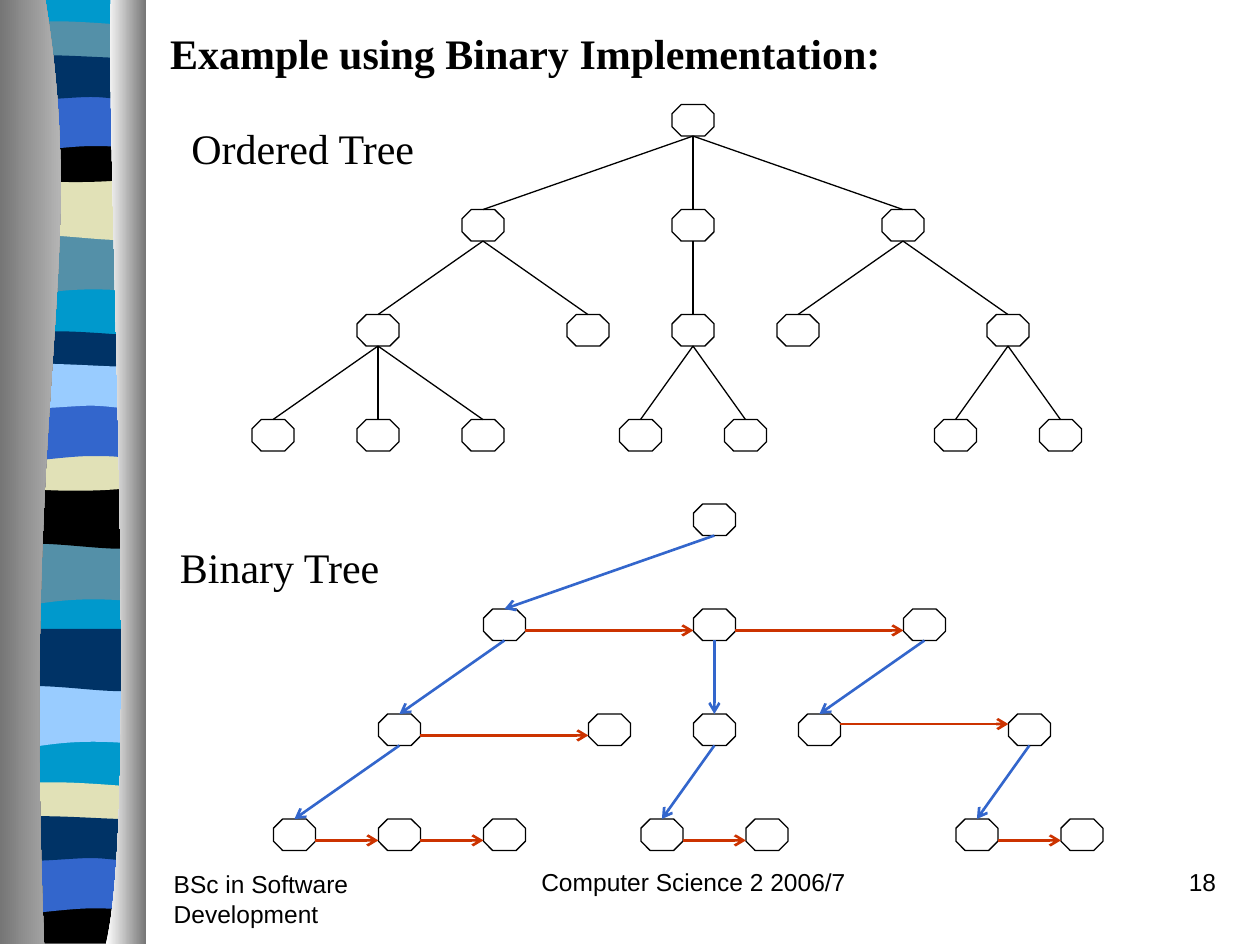
"""Build a slide showing an ordered tree and its binary implementation."""
from lxml import etree
from pptx import Presentation
from pptx.dml.color import RGBColor
from pptx.enum import shapes, text
from pptx.oxml.ns import qn
from pptx.util import Inches, Pt

COLORS = {
    "black": "000000", "white": "FFFFFF", "cyan": "0099CC", "teal": "5490A8",
    "cream": "E1E1B7", "blue": "3366CC", "navy": "003366", "sky": "99CCFF",
    "red": "CC3300", "grey": "767676", "silver": "D3D3D3",
}

TITLE = ("Example using Binary Implementation:", 1.25, 0.17, 8.25, "Times New Roman", 24, "LEFT")
LABELS = [
    ("Ordered Tree", 1.42, 0.92, 2.25, "Times New Roman", 24, "LEFT"),
    ("Binary Tree", 1.33, 4.25, 2.17, "Times New Roman", 24, "LEFT"),
    ("BSc in Software Development", 1.28, 6.85, 2.08, "Arial", 14, "LEFT"),
    ("Computer Science 2 2006/7", 3.92, 6.83, 3.17, "Arial", 14, "CENTER"),
    ("18", 7.67, 6.83, 2.08, "Arial", 14, "RIGHT"),
]

TREE = (0, [
    (-4, [(-6, [(-8, []), (-6, []), (-4, [])]), (-2, [])]),
    (0, [(0, [(-1, []), (1, [])])]),
    (4, [(2, []), (6, [(5, []), (7, [])])]),
])
ORDERED_ROOT = (5.5, 0.83)
BINARY_ROOT = (5.67, 4)
NODE_W, NODE_H = 1 / 3, 0.25
STEP_X, STEP_Y = 5 / 12, 5 / 6
LINK_DROP, HIGH_LINK_DROP, HIGH_LINK_PARENT = 0.17, 0.08, (1, 4)

BAND_SHAPES = {
    "plain": [(1.14, 0), (1.14, 7.48), (0.06, 7.48), (0.06, 0)],
    "sweep": [(1.14, 0), (1.14, 0.47), (0.39, 0.39, 0.24, 0.55, 0.06, 0.47), (0.06, 0)],
    "dip": [(1.14, 0), (1.14, 0.47), (0.96, 0.55, 0.39, 0.41, 0.06, 0.47), (0.06, 0)],
    "swell": [(1.14, 0.05), (1.14, 0.29), (0.96, 0.33, 0.24, 0.33, 0.06, 0.29), (0.06, 0.05),
              (0.12, 0, 0.29, 0.01, 0.47, 0.01), (0.65, 0.01, 1, 0.04, 1.14, 0.05)],
    "lens": [(1.14, 0), (1.14, 0.32), (0.96, 0.38, 0.24, 0.38, 0.06, 0.32), (0.06, 0),
             (0.72, 0.05, 0.91, 0, 1.14, 0)],
    "arch": [(1.14, 0), (1.14, 0.47), (0.97, 0.42, 0.9, 0.42, 0.72, 0.42),
             (0.54, 0.42, 0.22, 0.47, 0.06, 0.47), (0.06, 0)],
    "wave": [(1.14, 0.05), (1.14, 0.36), (1.07, 0.41, 0.9, 0.36, 0.72, 0.36),
             (0.54, 0.36, 0.17, 0.41, 0.06, 0.36), (0.06, 0.05),
             (0.21, 0, 0.79, 0.05, 0.97, 0.05), (1.15, 0.05, 1.1, 0.05, 1.14, 0.05)],
    "base": [(1.14, 0), (1.14, 0.37), (0.06, 0.37), (0.06, 0), (0.72, 0.05, 0.91, 0, 1.14, 0)],
}
BANDS = [
    ("plain", -0.01, "cyan"),
    ("sweep", 1.85, "teal"), ("dip", 1.41, "cream"), ("swell", 0.16, "teal"),
    ("lens", 1.08, "black"), ("arch", 0.74, "blue"), ("wave", 0.41, "navy"),
    ("sweep", 4.31, "teal"), ("dip", 3.86, "black"), ("swell", 2.62, "navy"),
    ("lens", 3.53, "cream"), ("arch", 3.2, "blue"), ("wave", 2.86, "sky"),
    ("sweep", 5.44, "sky"), ("dip", 4.99, "navy"), ("swell", 6.2, "cream"),
    ("base", 7.12, "black"), ("arch", 6.79, "blue"), ("wave", 6.45, "navy"),
]
COLUMNS = [
    ([(0.36, 0), (0.71, 2.16, 0.17, 2.96, 0.35, 7.49), (0, 7.49), (0, 0)], "grey", "silver"),
    ([(0.88, 0), (0.84, 1.25, 1.11, 6.46, 0.84, 7.49), (1.16, 7.49), (1.16, 0)], "white", "grey"),
]


def rgb(name):
    return RGBColor.from_string(COLORS[name])


def add_outline(s, outline, top=0):
    points = [(Inches(part[i]), Inches(top + part[i + 1]))
              for part in outline for i in range(0, len(part), 2)]
    builder = s.shapes.build_freeform(*points[0], scale=1.0)
    builder.add_line_segments(points[1:], close=True)
    sp = builder.convert_to_shape()
    segments = iter(list(sp._element.iter(qn("a:lnTo"))))
    for part in outline[1:]:
        group = [next(segments) for _ in range(len(part) // 2)]
        if len(group) == 3:
            curve = etree.Element(qn("a:cubicBezTo"))
            group[0].addprevious(curve)
            for segment in group:
                curve.append(segment[0])
                segment.getparent().remove(segment)
    sp.shadow.inherit = False
    sp.line.fill.background()
    return sp


def add_ribbon(s):
    for shape, top, color in BANDS:
        sp = add_outline(s, BAND_SHAPES[shape], top)
        sp.fill.solid()
        sp.fill.fore_color.rgb = rgb(color)
    for outline, *colors in COLUMNS:
        sp = add_outline(s, outline)
        sp.fill.gradient()
        sp.fill.gradient_angle = 0
        for stop, color in zip(sp.fill.gradient_stops, colors):
            stop.color.rgb = rgb(color)


def set_text(sp, label, bold=False):
    content, left, top, width, font, size, align = label
    sp.left, sp.top, sp.width, sp.height = (Inches(v) for v in (left, top, width, 0.5))
    tf = sp.text_frame
    tf.word_wrap = True
    tf.auto_size = text.MSO_AUTO_SIZE.NONE
    tf.vertical_anchor = text.MSO_ANCHOR.TOP
    tf.text = content
    p = tf.paragraphs[0]
    p.alignment = text.PP_ALIGN[align]
    f = p.runs[0].font
    f.name, f.size, f.bold = font, Pt(size), bold
    f.color.rgb = rgb("black")


def add_line(s, start, end, color="black", width=0.75, arrow=False):
    cx = s.shapes.add_connector(shapes.MSO_CONNECTOR.STRAIGHT, *(Inches(v) for v in (*start, *end)))
    cx.line.color.rgb = rgb(color)
    cx.line.width = Pt(width)
    if arrow:
        etree.SubElement(cx.line._get_or_add_ln(), qn("a:tailEnd"), type="arrow")
    etree.SubElement(cx._element.spPr, qn("a:effectLst"))


def add_node(s, x, y):
    sp = s.shapes.add_shape(shapes.MSO_SHAPE.OCTAGON, Inches(x - NODE_W / 2), Inches(y),
                            Inches(NODE_W), Inches(NODE_H))
    sp.adjustments[0] = 0.293
    sp.shadow.inherit = False
    sp.fill.background()
    sp.line.color.rgb = rgb("black")
    sp.line.width = Pt(0.75)


def add_tree(s, node, root, binary, level=0):
    column, children = node
    x, y = root[0] + column * STEP_X, root[1] + level * STEP_Y
    child_y = y + STEP_Y
    child_xs = [root[0] + child[0] * STEP_X for child in children]
    add_node(s, x, y)
    for child in children:
        add_tree(s, child, root, binary, level + 1)
    if binary:
        for child_x in child_xs[:1]:
            add_line(s, (x, y + NODE_H), (child_x, child_y), "blue", 1.5, True)
        high = (level, column) == HIGH_LINK_PARENT
        link_y = child_y + (HIGH_LINK_DROP if high else LINK_DROP)
        for a, b in zip(child_xs, child_xs[1:]):
            add_line(s, (a + NODE_W / 2, link_y), (b - NODE_W / 2, link_y), "red", 1.5, True)
    else:
        for child_x in child_xs:
            add_line(s, (x, y + NODE_H), (child_x, child_y))


def main():
    prs = Presentation()
    prs.slide_width, prs.slide_height = Inches(10), Inches(7.5)
    s = prs.slides.add_slide(prs.slide_layouts[5])
    add_ribbon(s)
    set_text(s.shapes.title, TITLE, bold=True)
    for label in LABELS:
        set_text(s.shapes.add_textbox(0, 0, 0, 0), label)
    add_tree(s, TREE, ORDERED_ROOT, binary=False)
    add_tree(s, TREE, BINARY_ROOT, binary=True)
    prs.save("out.pptx")


if __name__ == "__main__":
    main()
